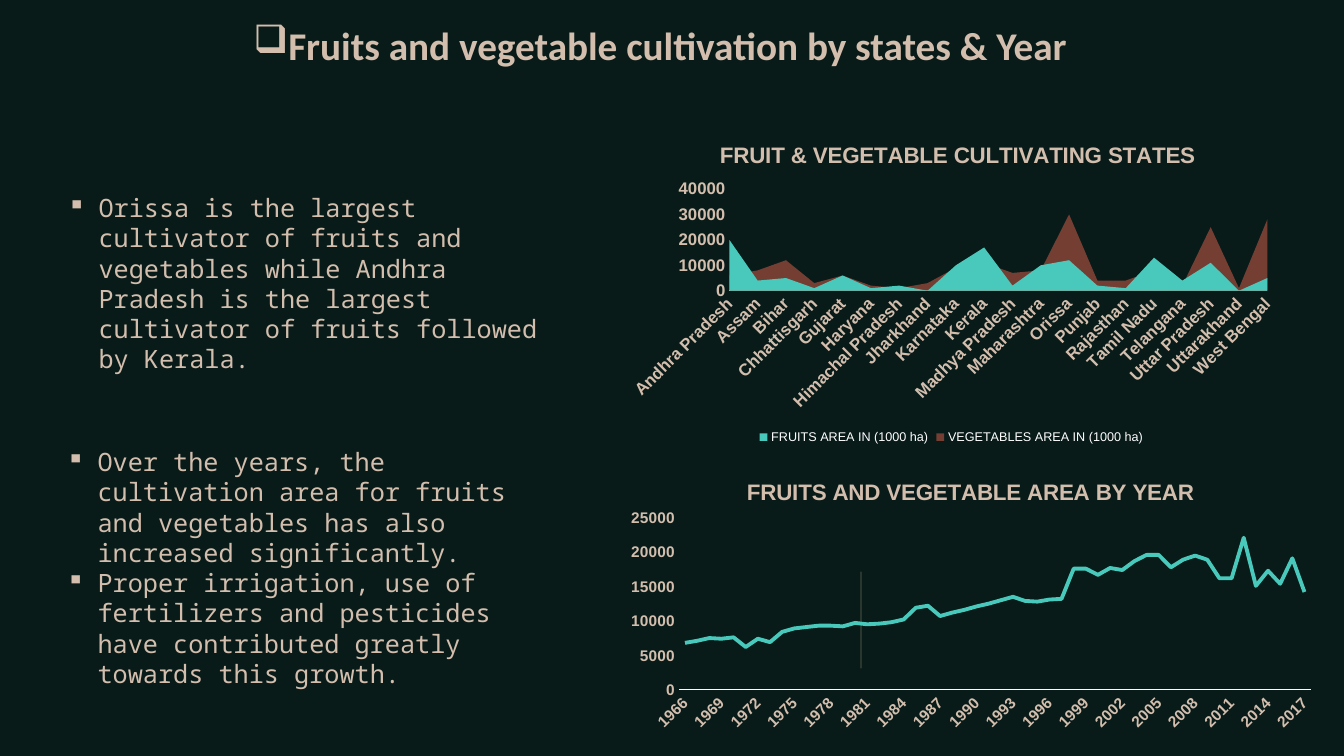
"""Build the slide on fruit and vegetable cultivation by state and year."""
from lxml import etree
from pptx import Presentation
from pptx import util as u
from pptx.chart.data import CategoryChartData
from pptx.dml.color import RGBColor
from pptx.enum import chart as charts, shapes, text
from pptx.oxml import ns

COLORS = {
    "background": "081B19", "text": "D3BEAE", "white": "FFFFFF",
    "fruit": "48C9BB", "vegetable": "753E33", "rule": "313E35",
}

STATES = [
    ("Andhra Pradesh", 20000, 6000), ("Assam", 4000, 8000), ("Bihar", 5000, 12000),
    ("Chhattisgarh", 1000, 3000), ("Gujarat", 6000, 6000), ("Haryana", 1000, 2000),
    ("Himachal Pradesh", 2000, 1000), ("Jharkhand", 0, 3000), ("Karnataka", 10000, 9000),
    ("Kerala", 17000, 11000), ("Madhya Pradesh", 2000, 7000), ("Maharashtra", 10000, 8000),
    ("Orissa", 12000, 30000), ("Punjab", 2000, 4000), ("Rajasthan", 1000, 4000),
    ("Tamil Nadu", 13000, 8000), ("Telangana", 4000, 2000), ("Uttar Pradesh", 11000, 25000),
    ("Uttarakhand", 0, 1000), ("West Bengal", 5000, 28000),
]

FIRST_YEAR = 1966
YEARLY_AREA = [
    6800, 7100, 7500, 7400, 7600, 6200, 7400, 6900, 8400, 8900, 9100, 9300, 9300,
    9200, 9700, 9500, 9600, 9800, 10200, 11900, 12200, 10700, 11200, 11600, 12100, 12500,
    13000, 13500, 12900, 12800, 13100, 13200, 17600, 17600, 16700, 17700, 17400, 18700, 19600,
    19600, 17800, 18900, 19500, 18900, 16200, 16200, 22100, 15100, 17300, 15400, 19100, 14200,
]


class SlideBuilder:
    """Hold the style and the current slide."""

    def __init__(self, slide, colors):
        self.slide = slide
        self.colors = {name: RGBColor.from_string(code) for name, code in colors.items()}
        fill = slide.background.fill
        fill.solid()
        fill.fore_color.rgb = self.colors["background"]

    def set_font(self, font, color, size, name="Arial", bold=False):
        for attribute, value in {"name": name, "size": u.Pt(size), "bold": bold}.items():
            setattr(font, attribute, value)
        font.color.rgb = self.colors[color]

    def add_rule(self, left, top, bottom):
        rule = self.slide.shapes.add_connector(
            shapes.MSO_CONNECTOR.STRAIGHT,
            *(u.Inches(value) for value in (left, top, left, bottom)))
        rule.line.width = u.Pt(1.25)
        rule.line.color.rgb = self.colors["rule"]
        color = rule.line._ln.find(".//" + ns.qn("a:srgbClr"))
        etree.SubElement(color, ns.qn("a:alpha"), val="82000")
        etree.SubElement(rule._element.spPr, ns.qn("a:effectLst"))

    def add_bullets(self, box, lines, bullet, alignment=text.PP_ALIGN.LEFT, **font):
        shape = self.slide.shapes.add_textbox(*(u.Inches(value) for value in box))
        frame = shape.text_frame
        frame.word_wrap = True
        frame.auto_size = text.MSO_AUTO_SIZE.SHAPE_TO_FIT_TEXT
        for index, line in enumerate(lines):
            paragraph = frame.add_paragraph() if index else frame.paragraphs[0]
            paragraph.alignment = alignment
            properties = paragraph._p.get_or_add_pPr()
            indent = u.Inches(0.31)
            properties.set("marL", str(indent))
            properties.set("indent", str(-indent))
            etree.SubElement(properties, ns.qn("a:buChar"), char=bullet)
            run = paragraph.add_run()
            run.text = line
            self.set_font(run.font, "text", **font)

    def place(self, element, **fractions):
        for layout in element.findall(ns.qn("c:layout")):
            element.remove(layout)
        layout = etree.Element(ns.qn("c:layout"))
        manual = etree.SubElement(layout, ns.qn("c:manualLayout"))
        if "w" in fractions:
            etree.SubElement(manual, ns.qn("c:layoutTarget"), val="inner")
        for axis in "xy":
            etree.SubElement(manual, ns.qn(f"c:{axis}Mode"), val="edge")
        for key, value in fractions.items():
            etree.SubElement(manual, ns.qn(f"c:{key}"), val=str(value))
        text_part = element.find(ns.qn("c:tx"))
        element.insert(0 if text_part is None else 1, layout)

    def style_axis(self, axis, size):
        for attribute, value in {
            "has_major_gridlines": False,
            "major_tick_mark": charts.XL_TICK_MARK.NONE,
            "minor_tick_mark": charts.XL_TICK_MARK.NONE,
        }.items():
            setattr(axis, attribute, value)
        self.set_font(axis.tick_labels.font, "text", size, bold=True)

    def add_chart(self, kind, box, title, categories, series, axis_size, title_at, plot_at):
        data = CategoryChartData(number_format="General")
        data.categories = categories
        for name, values, _ in series:
            data.add_series(name, values)
        chart = self.slide.shapes.add_chart(
            kind, *(u.Inches(value) for value in box), data).chart
        self.set_font(chart.font, "white", 10)
        chart.has_legend = False
        chart.has_title = True
        title_frame = chart.chart_title.text_frame
        title_frame.text = title
        self.set_font(title_frame.paragraphs[0].runs[0].font, "text", 16, bold=True)
        self.place(chart.chart_title._element, **title_at)
        self.place(chart._chartSpace.chart.plotArea, **plot_at)

        self.style_axis(chart.category_axis, axis_size)
        self.style_axis(chart.value_axis, axis_size)
        chart.value_axis.format.line.fill.background()
        axis_line = chart.category_axis.format.line
        axis_line.color.rgb = self.colors["white"]
        axis_line.width = u.Pt(0.75)
        labels = chart.category_axis._element.find(ns.qn("c:txPr"))
        labels.find(ns.qn("a:bodyPr")).set("rot", "-2700000")

        plot = chart.plots[0]
        plot.vary_by_categories = False
        for item, (_, _, color) in zip(plot.series, series):
            if kind == charts.XL_CHART_TYPE.LINE:
                item.smooth = False
                item.marker.style = charts.XL_MARKER_STYLE.NONE
                item.format.line.width = u.Pt(2.75)
                item.format.line.color.rgb = self.colors[color]
            else:
                item.format.fill.solid()
                item.format.fill.fore_color.rgb = self.colors[color]
        return chart

    def add_legend(self, chart):
        chart.has_legend = True
        chart.legend.position = charts.XL_LEGEND_POSITION.BOTTOM
        chart.legend.include_in_layout = False
        self.set_font(chart.legend.font, "white", 9)


def main():
    presentation = Presentation()
    presentation.slide_width = u.Inches(13.33)
    presentation.slide_height = u.Inches(7.5)
    builder = SlideBuilder(
        presentation.slides.add_slide(presentation.slide_layouts[6]), COLORS)

    builder.add_rule(8.54, 5.67, 6.63)
    builder.add_bullets(
        (-0.24, 0.16, 13.57, 0.57), ["Fruits and vegetable cultivation by states & Year"],
        "❑", text.PP_ALIGN.CENTER, size=28, name="Calibri", bold=True)

    names, fruits, vegetables = zip(*STATES)
    states_chart = builder.add_chart(
        charts.XL_CHART_TYPE.AREA, (6.1, 1.19, 6.67, 3.26),
        "FRUIT & VEGETABLE CULTIVATING STATES", names,
        [("FRUITS AREA IN (1000 ha)", fruits, "fruit"),
         ("VEGETABLES AREA IN (1000 ha)", vegetables, "vegetable")],
        12, {"x": 0.15, "y": 0.05}, {"x": 0.17, "y": 0.21, "w": 0.8, "h": 0.31})
    builder.add_legend(states_chart)
    crossing = states_chart.value_axis._element.find(ns.qn("c:crossBetween"))
    crossing.set("val", "midCat")

    years = [str(FIRST_YEAR + index) for index in range(len(YEARLY_AREA))]
    years_chart = builder.add_chart(
        charts.XL_CHART_TYPE.LINE, (6.1, 4.56, 7.04, 2.75),
        "FRUITS AND VEGETABLE AREA BY YEAR", years,
        [("Series 1", YEARLY_AREA, "fruit")],
        11, {"x": 0.18, "y": 0.05}, {"x": 0.09, "y": 0.21, "w": 0.89, "h": 0.62})
    last = years_chart.category_axis._element.find(ns.qn("c:noMultiLvlLbl"))
    skip = etree.Element(ns.qn("c:tickLblSkip"), val="3")
    last.addprevious(skip)

    body = {"bullet": "▪", "size": 18, "name": "Noto Sans Mono"}
    builder.add_bullets((0.57, 1.86, 4.96, 1.62), [
        "Orissa is the largest cultivator of fruits and vegetables while Andhra Pradesh "
        "is the largest cultivator of fruits followed by Kerala."], **body)
    builder.add_bullets((0.56, 4.38, 4.96, 2.52), [
        "Over the years, the cultivation area for fruits and vegetables has also "
        "increased significantly.",
        "Proper irrigation, use of fertilizers and pesticides have contributed greatly "
        "towards this growth."], **body)

    presentation.save("out.pptx")


if __name__ == "__main__":
    main()
